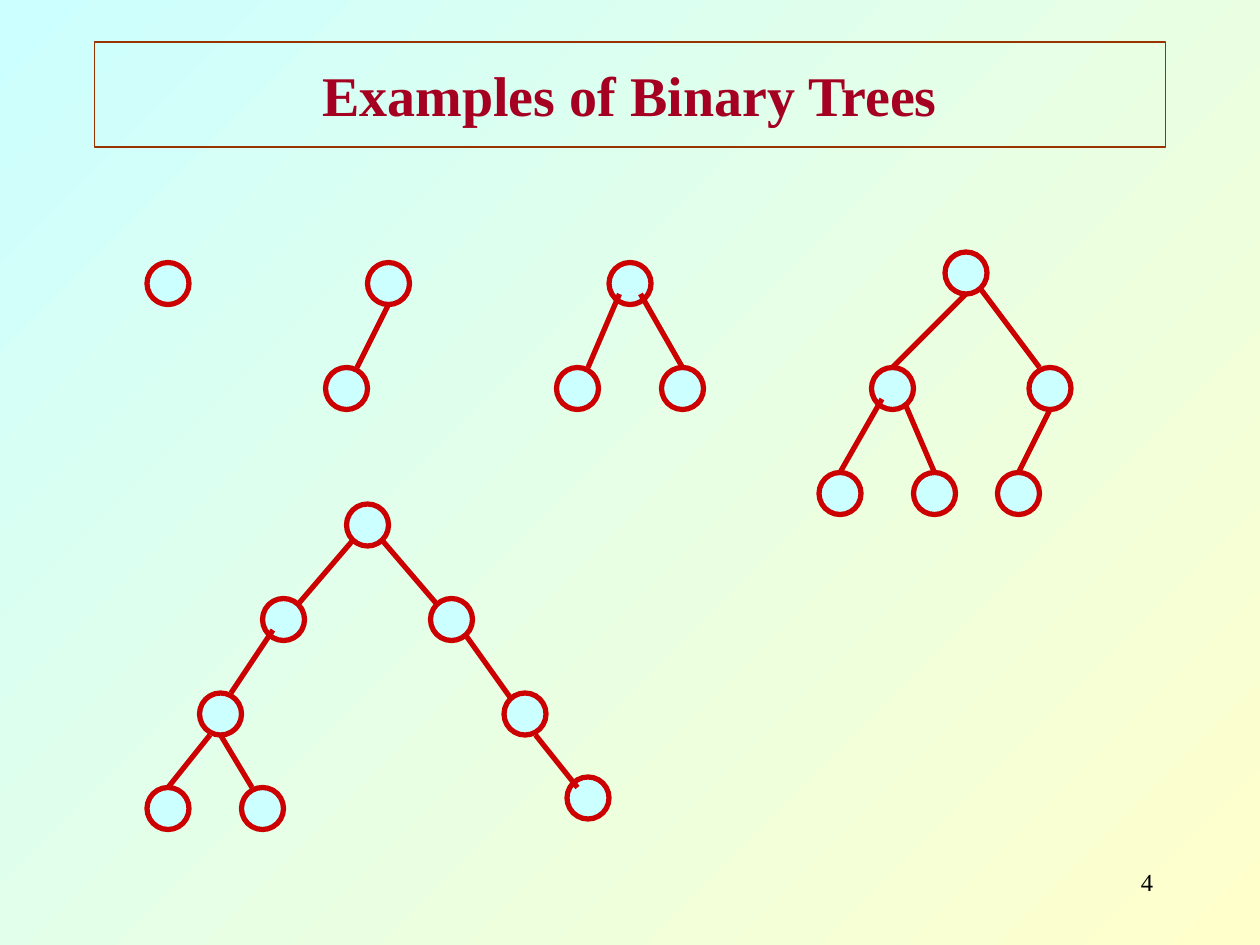
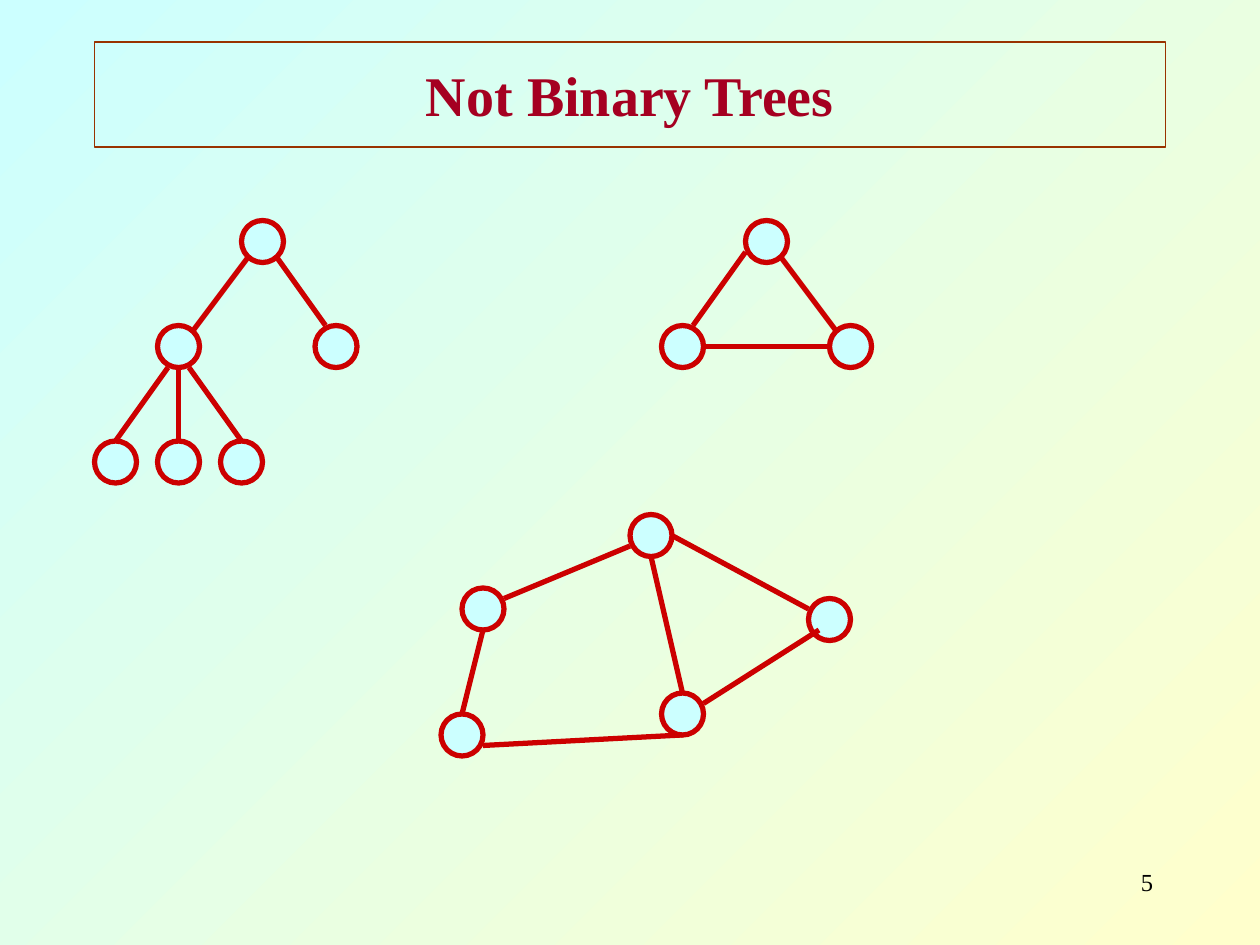
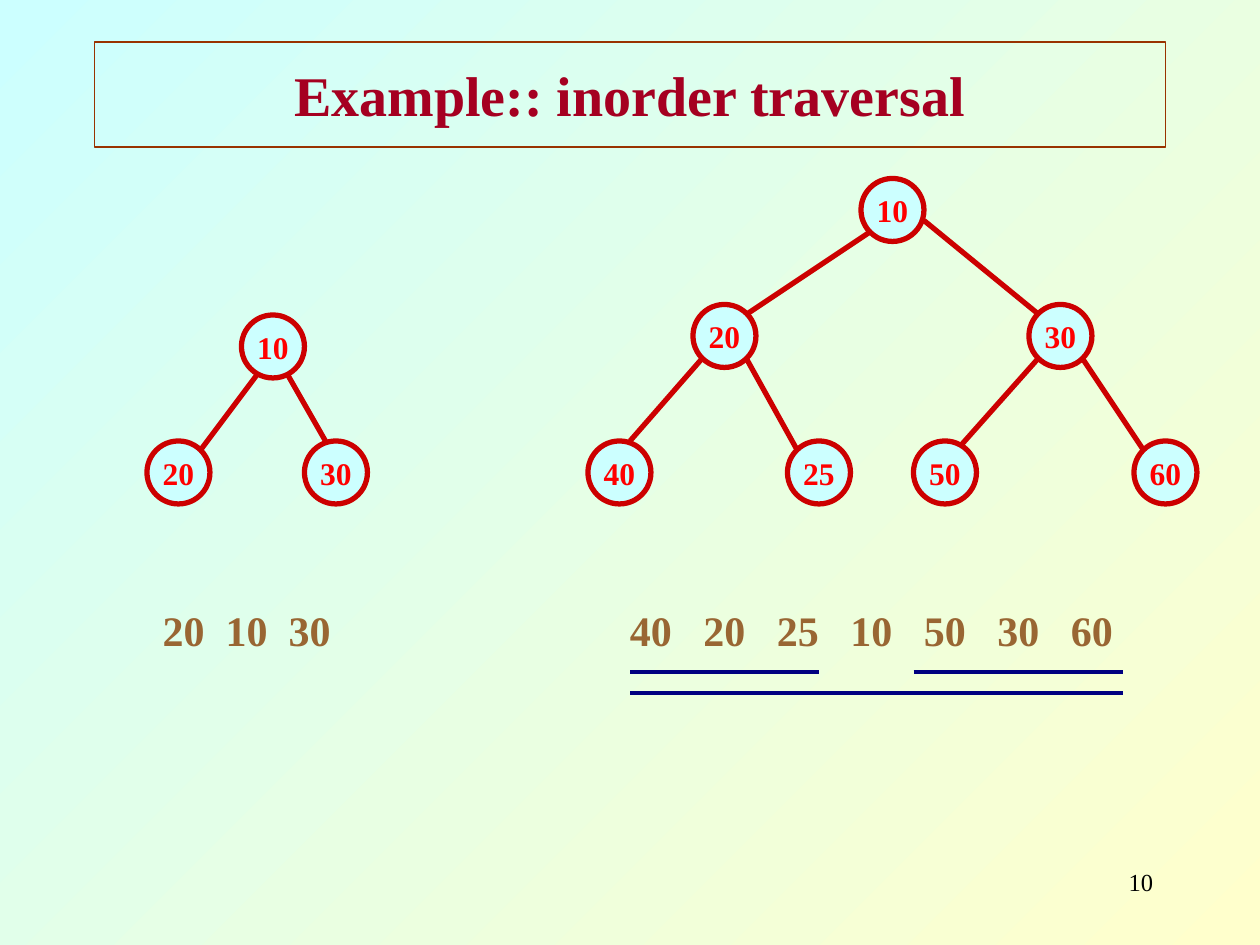
from dataclasses import dataclass

from lxml.etree import SubElement
from pptx import Presentation
from pptx.dml.color import RGBColor
from pptx.enum.shapes import MSO_CONNECTOR as Connector
from pptx.enum.shapes import MSO_SHAPE as Shape
from pptx.enum.text import MSO_ANCHOR as Anchor
from pptx.enum.text import PP_ALIGN as Align
from pptx.oxml.ns import qn
from pptx.util import Inches, Pt


@dataclass(frozen=True)
class Theme:
    font: str = "Times New Roman"
    back_start: str = "FFFFCC"
    back_end: str = "CCFFFF"
    title: str = "A50021"
    title_border: str = "993300"
    node_fill: str = "CCFFFF"
    node_line: str = "CC0000"
    node_text: str = "FF0000"
    sequence: str = "996633"
    underline: str = "000080"
    page_number: str = "000000"
    title_size: int = 32
    sequence_size: int = 24
    node_size: int = 18
    number_size: int = 14


THEME = Theme()
CELLS_PER_INCH = 12
SMALL_NODE = 4
LARGE_NODE = 6


def grid(cells):
    return Inches(cells / CELLS_PER_INCH)


def rgb(color):
    return RGBColor.from_string(color)


def write_text(shape, text, *, size, color, bold=True, align=Align.CENTER,
               anchor=Anchor.MIDDLE, wrap=True):
    frame = shape.text_frame
    frame.word_wrap = wrap
    frame.vertical_anchor = anchor
    para = frame.paragraphs[0]
    para.alignment = align
    span = para.add_run()
    span.text = text
    span.font.name = THEME.font
    span.font.size = Pt(size)
    span.font.bold = bold
    span.font.color.rgb = rgb(color)
    return para


def add_outline(page, kind, bounds, *, line, width, fill=None):
    shape = page.shapes.add_shape(kind, *map(grid, bounds))
    shape.shadow.inherit = False
    if fill:
        shape.fill.solid()
        shape.fill.fore_color.rgb = rgb(fill)
    else:
        shape.fill.background()
    shape.line.color.rgb = rgb(line)
    shape.line.width = Pt(width)
    return shape


def add_line(page, ends, color=THEME.node_line, width=3):
    line = page.shapes.add_connector(Connector.STRAIGHT, *map(grid, ends))
    line.line.color.rgb = rgb(color)
    line.line.width = Pt(width)
    SubElement(line._element.spPr, qn("a:effectLst"))


def add_node(page, left, top, label=None):
    size = LARGE_NODE if label else SMALL_NODE
    node = add_outline(page, Shape.OVAL, (left, top, size, size),
                       line=THEME.node_line, width=3, fill=THEME.node_fill)
    if label:
        write_text(node, label, size=THEME.node_size, color=THEME.node_text,
                   wrap=False)


def add_graph(page, nodes, edges_behind=(), edges_in_front=()):
    for edge in edges_behind:
        add_line(page, edge)
    for node in nodes:
        add_node(page, *node)
    for edge in edges_in_front:
        add_line(page, edge)


def add_sequence(page, values, *, left, width, indent, step):
    box = page.shapes.add_textbox(grid(left), grid(57), grid(width), grid(6))
    box.text_frame.margin_left = grid(indent)
    para = write_text(box, "\t".join(values), size=THEME.sequence_size,
                      color=THEME.sequence, align=Align.LEFT, anchor=Anchor.TOP)
    para.space_before = Pt(15)
    stops = SubElement(para._p.get_or_add_pPr(), qn("a:tabLst"))
    for index in range(1, len(values)):
        SubElement(stops, qn("a:tab"), pos=str(grid(index * step)), algn="l")


def set_background(deck):
    fill = deck.slide_master.background.fill
    fill.gradient()
    fill.gradient_angle = 135
    for stop, color, position in zip(fill.gradient_stops,
                                     (THEME.back_start, THEME.back_end), (0, 1)):
        stop.color.rgb = rgb(color)
        stop.position = position


def add_page(deck, title, number):
    page = deck.slides.add_slide(deck.slide_layouts[6])
    banner = add_outline(page, Shape.RECTANGLE, (9, 4, 102, 10),
                         line=THEME.title_border, width=0.75)
    write_text(banner, title, size=THEME.title_size, color=THEME.title)
    box = page.shapes.add_textbox(grid(86), grid(82), grid(25), grid(6))
    write_text(box, str(number), size=THEME.number_size, bold=False,
               color=THEME.page_number, align=Align.RIGHT, anchor=Anchor.TOP)
    return page


def build_binary_trees(deck):
    page = add_page(deck, "Examples of Binary Trees", 4)
    add_graph(page, [(14, 25)])
    add_graph(page, [(35, 25), (31, 35)], edges_in_front=[(37, 29, 34, 35)])
    add_graph(page, [(58, 25), (53, 35), (63, 35)],
              edges_in_front=[(59, 28, 56, 35), (61, 28, 65, 35)])
    add_graph(
        page,
        [(90, 24), (83, 35), (98, 35), (78, 45), (87, 45), (95, 45)],
        edges_behind=[(86, 38, 89, 45), (93, 27, 99, 35)],
        edges_in_front=[(92, 28, 85, 35), (84, 38, 80, 45), (100, 39, 97, 45)],
    )
    add_graph(
        page,
        [(33, 48), (25, 57), (41, 57), (19, 66), (48, 66),
         (14, 75), (23, 75), (54, 74)],
        edges_behind=[(36, 51, 42, 58), (34, 51, 28, 58), (44, 60, 49, 67)],
        edges_in_front=[(26, 60, 22, 66), (20, 70, 16, 75),
                        (21, 70, 24, 75), (51, 70, 55, 75)],
    )


def build_other_graphs(deck):
    page = add_page(deck, "Not Binary Trees", 5)
    add_graph(
        page,
        [(23, 21), (15, 31), (30, 31), (9, 42), (15, 42), (21, 42)],
        edges_behind=[(26, 24, 31, 31), (24, 24, 18, 32)],
        edges_in_front=[(16, 35, 11, 42), (17, 35, 17, 42), (18, 35, 23, 42)],
    )
    add_graph(
        page,
        [(71, 21), (63, 31), (79, 31)],
        edges_behind=[(74, 24, 80, 32)],
        edges_in_front=[(71, 24, 66, 31), (67, 33, 79, 33)],
    )
    add_graph(
        page,
        [(60, 49), (44, 56), (77, 57), (63, 66), (42, 68)],
        edges_in_front=[(60, 52, 48, 57), (46, 60, 44, 68), (64, 51, 77, 58),
                        (62, 53, 65, 66), (78, 60, 67, 67), (46, 71, 65, 70)],
    )


def build_inorder_traversal(deck):
    page = add_page(deck, "Example:: inorder traversal", 10)
    add_graph(
        page,
        [(23, 30, "10"), (14, 42, "20"), (29, 42, "30")],
        edges_behind=[(25, 35, 19, 43), (27, 35, 31, 42)],
    )
    add_graph(
        page,
        [(82, 17, "10"), (66, 29, "20"), (98, 29, "30"), (56, 42, "40"),
         (75, 42, "25"), (87, 42, "50"), (108, 42, "60")],
        edges_behind=[(99, 34, 91, 43)],
        edges_in_front=[(83, 22, 71, 30), (88, 21, 99, 30), (67, 34, 60, 42),
                        (71, 34, 76, 43), (103, 34, 109, 43)],
    )
    add_sequence(page, ["20", "10", "30"], left=8, width=31, indent=7.5, step=6)
    add_sequence(page, ["40", "20", "25", "10", "50", "30", "60"],
                 left=50, width=66, indent=10, step=7)
    for start, end, height in [(60, 78, 64), (87, 107, 64), (60, 107, 66)]:
        add_line(page, (start, height, end, height), THEME.underline, 2)


def main():
    deck = Presentation()
    deck.slide_width, deck.slide_height = Inches(10), Inches(7.5)
    set_background(deck)
    build_binary_trees(deck)
    build_other_graphs(deck)
    build_inorder_traversal(deck)
    deck.save("out.pptx")


if __name__ == "__main__":
    main()
